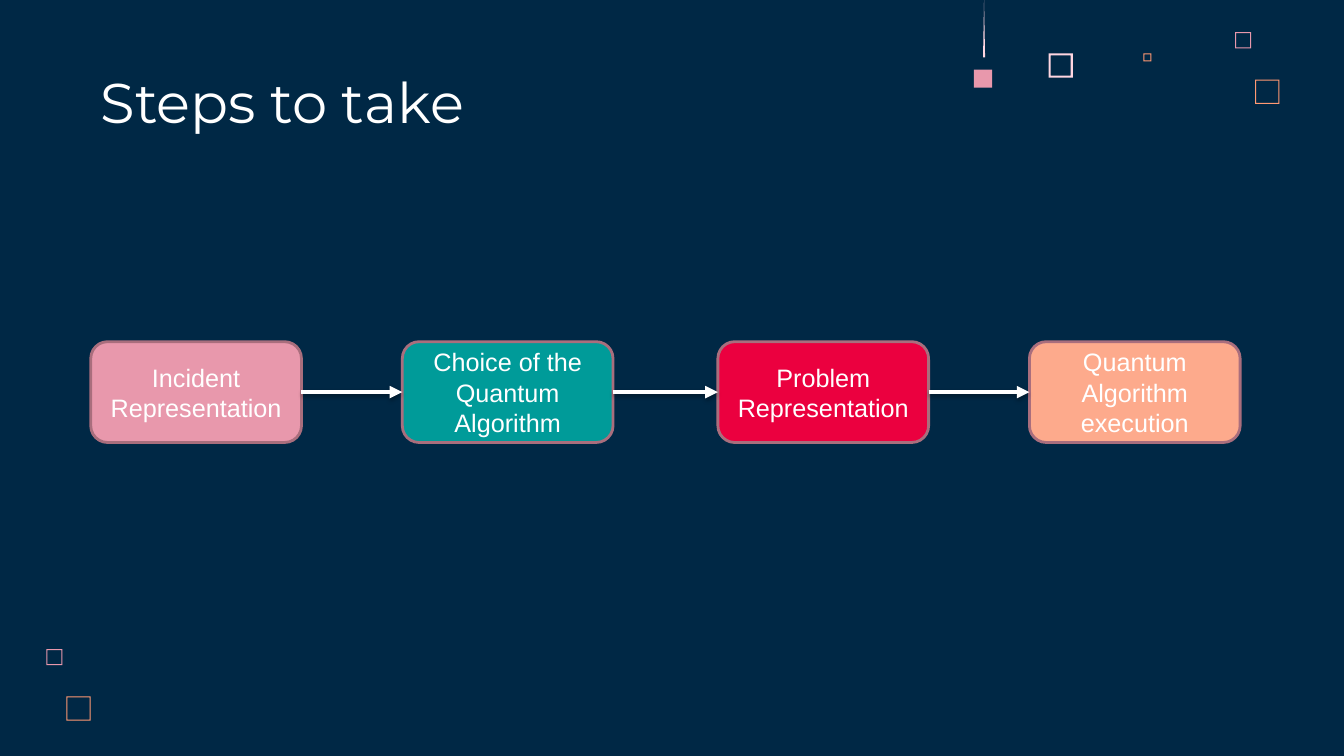
from itertools import accumulate
from pptx import Presentation
from pptx.dml.color import RGBColor as RGB
from pptx.enum.shapes import MSO_CONNECTOR as Link, MSO_SHAPE as Kind
from pptx.enum.text import MSO_ANCHOR as Anchor, MSO_AUTO_SIZE as Fit, PP_ALIGN as Align
from pptx.oxml import parse_xml
from pptx.oxml.ns import nsdecls
from pptx.util import Inches, Pt

NAVY = RGB(0x00, 0x28, 0x45)
WHITE = RGB(0xFF, 0xFF, 0xFF)
PINK = RGB(0xE8, 0x98, 0xAC)
PALE = RGB(0xFF, 0xD6, 0xE1)
CORAL = RGB(0xFF, 0x99, 0x73)
TEAL = RGB(0x00, 0x9B, 0x99)
RED = RGB(0xEB, 0x00, 0x3F)
PEACH = RGB(0xFD, 0xAA, 0x8C)
MAUVE = RGB(0xA9, 0x6E, 0x7D)

TITLE = "Steps to take"
STEPS = [
    ("Incident Representation", PINK),
    ("Choice of the Quantum Algorithm", TEAL),
    ("Problem Representation", RED),
    ("Quantum Algorithm execution", PEACH),
]
FRAMES = [
    (10.4, 0.53, 0.24, 0.02, PALE),
    (12.25, 0.32, 0.16, 0.01, PINK),
    (11.34, 0.53, 0.08, 0.01, CORAL),
    (12.45, 0.79, 0.24, 0.01, CORAL),
    (0.46, 6.44, 0.16, 0.01, PINK),
    (0.66, 6.91, 0.24, 0.01, CORAL),
]

WIDE, HIGH = 13.33, 7.5
LEFT, TOP = 0.9, 3.39
BOX_W, BOX_H = 2.09, 1
GAPS = [1, 1.04, 1]

SHADOW = (
    f'<a:effectLst {nsdecls("a")}><a:outerShdw blurRad="{Pt(3.1)}" '
    f'dist="{Pt(1.8)}" dir="5400000" rotWithShape="0"><a:srgbClr val="000000">'
    '<a:alpha val="35000"/></a:srgbClr></a:outerShdw></a:effectLst>'
)
HEAD = f'<a:tailEnd {nsdecls("a")} type="triangle"/>'


def add(slide, kind, x, y, w, h, color):
    shape = slide.shapes.add_shape(kind, *map(Inches, (x, y, w, h)))
    shape.shadow.inherit = False
    shape.fill.solid()
    shape.fill.fore_color.rgb = color
    shape.line.fill.background()
    return shape


def style(shape, text, size, face, align, anchor):
    frame = shape.text_frame
    frame.text = text
    frame.word_wrap = True
    frame.auto_size = Fit.NONE
    frame.vertical_anchor = anchor
    para = frame.paragraphs[0]
    para.alignment = align
    font = para.runs[0].font
    font.size, font.name = Pt(size), face
    font.color.rgb = WHITE
    return frame


def decorate(slide):
    for x, y, side, edge, color in FRAMES:
        add(slide, Kind.FRAME, x, y, side, side, color).adjustments[0] = edge / side
    add(slide, Kind.RECTANGLE, 9.66, 0.69, 0.18, 0.18, PINK)
    add(slide, Kind.ISOSCELES_TRIANGLE, 9.75, 0, 0.02, 0.57, PALE)


def head(slide):
    title = slide.shapes.title
    title.left, title.top, title.width, title.height = map(Inches, (LEFT, 0.6, 6.89, 0.84))
    frame = style(title, TITLE, 40, "Montserrat", Align.LEFT, Anchor.BOTTOM)
    frame.margin_top = frame.margin_bottom = Inches(0.1)


def flow(slide):
    lefts = accumulate((BOX_W + gap for gap in GAPS), initial=LEFT)
    boxes = []
    for x, (text, color) in zip(lefts, STEPS):
        box = add(slide, Kind.ROUNDED_RECTANGLE, x, TOP, BOX_W, BOX_H, color)
        box.line.color.rgb = MAUVE
        box.line.width = Pt(2)
        style(box, text, 18, "Arial", Align.CENTER, Anchor.MIDDLE)
        boxes.append(box)
    for start, end in zip(boxes, boxes[1:]):
        arrow = slide.shapes.add_connector(Link.STRAIGHT, 0, 0, 0, 0)
        arrow.begin_connect(start, 3)
        arrow.end_connect(end, 1)
        arrow.line.color.rgb = WHITE
        arrow.line.width = Pt(3)
        arrow.line._get_or_add_ln().append(parse_xml(HEAD))
        arrow._element.spPr.append(parse_xml(SHADOW))


def main():
    deck = Presentation()
    deck.slide_width, deck.slide_height = Inches(WIDE), Inches(HIGH)
    slide = deck.slides.add_slide(deck.slide_layouts[5])
    slide.background.fill.solid()
    slide.background.fill.fore_color.rgb = NAVY
    decorate(slide)
    head(slide)
    flow(slide)
    deck.save("out.pptx")


if __name__ == "__main__":
    main()
